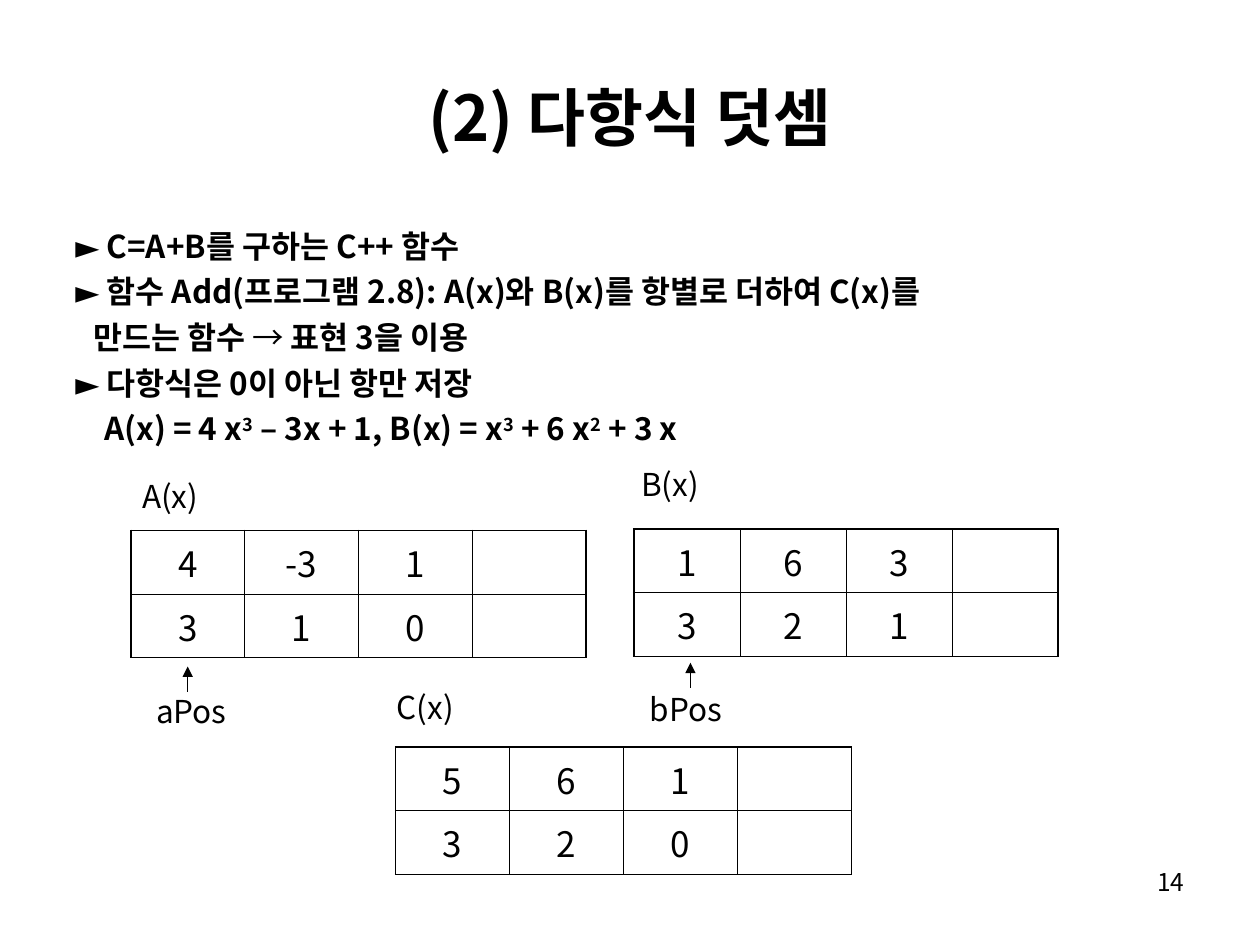
import pptx
import pptx.util
import pptx.dml.color
import pptx.enum.shapes
import pptx.enum.text
import pptx.oxml
import pptx.oxml.ns

Inches, Pt = pptx.util.Inches, pptx.util.Pt
ALIGN = pptx.enum.text.PP_ALIGN
qn = pptx.oxml.ns.qn
BLACK = pptx.dml.color.RGBColor(0, 0, 0)
FONT = "Noto Sans CJK KR"
OUTER, INNER = Pt(1.08), Pt(0.45)

# Each line: left margin, hanging indent, runs of (text, style)
BODY = [
    (0.38, -0.38, [("►", ""), (" C=A+B를 구하는 C++ 함수", "bold")]),
    (0.38, -0.38, [("►", ""), (" 함수 Add(프로그램 2.8): A(x)와 B(x)를 항별로 더하여 C(x)를", "bold")]),
    (0.14, 0, [("만드는 함수 ", "bold"), ("→ ", "arrow"), ("표현 3을 이용", "bold")]),
    (0.38, -0.38, [("►", ""), (" 다항식은 0이 아닌 항만 저장", "bold")]),
    (0.23, 0, [("A(x) = 4 x", "bold"), ("3", "super"), (" – 3x + 1, B(x) = x", "bold"),
               ("3", "super"), (" + 6 x", "bold"), ("2", "super"), (" + 3 x", "bold")]),
]


def add_run(p, text, size, bold=False, font=FONT):
    """Add a run in the given Latin font, with FONT for East Asian text."""
    r = p.add_run()
    r.text = text
    r.font.name, r.font.size, r.font.bold = font, Pt(size), bold
    r.font.color.rgb = BLACK
    ea = pptx.oxml.parse_xml(f'<a:ea {pptx.oxml.ns.nsdecls("a")} typeface="{FONT}"/>')
    r.font._element.find(qn("a:latin")).addnext(ea)
    return r


def add_text(s, x, y, w, h, text, size, align=ALIGN.LEFT):
    tf = s.shapes.add_textbox(Inches(x), Inches(y), Inches(w), Inches(h)).text_frame
    tf.word_wrap = True
    p = tf.paragraphs[0]
    p.alignment = align
    add_run(p, text, size)


def add_title(s, x, y, w, h):
    sp = s.shapes.title
    sp.left, sp.top, sp.width, sp.height = map(Inches, (x, y, w, h))
    tf = sp.text_frame
    tf.vertical_anchor = pptx.enum.text.MSO_ANCHOR.MIDDLE
    p = tf.paragraphs[0]
    p.alignment = ALIGN.CENTER
    add_run(p, "(2) 다항식 덧셈", 36, True)


def add_body(s, x, y, w, h):
    tf = s.shapes.add_textbox(Inches(x), Inches(y), Inches(w), Inches(h)).text_frame
    tf.word_wrap = True
    for i, (margin, indent, runs) in enumerate(BODY):
        p = tf.add_paragraph() if i else tf.paragraphs[0]
        p.alignment = ALIGN.LEFT if i == len(BODY) - 1 else ALIGN.JUSTIFY
        p.space_before = Pt(4.5)
        pPr = p._p.get_or_add_pPr()
        pPr.set("marL", str(Inches(margin)))
        pPr.set("indent", str(Inches(indent)))
        for text, style in runs:
            font = "Arial" if style == "arrow" else FONT
            r = add_run(p, text, 18, style in ("bold", "super"), font)
            if style == "super":
                r.font._element.set("baseline", "30000")


def add_border(cell, side, width):
    cell._tc.get_or_add_tcPr().append(pptx.oxml.parse_xml(
        f'<a:ln{side} {pptx.oxml.ns.nsdecls("a")} w="{width}"><a:solidFill>'
        f'<a:srgbClr val="{BLACK}"/></a:solidFill></a:ln{side}>'))


def add_terms(s, x, y, w, h, rows):
    """Add a table of coefficients over exponents."""
    n_rows, n_cols = len(rows), len(rows[0])
    table = s.shapes.add_table(n_rows, n_cols, Inches(x), Inches(y), Inches(w), Inches(h)).table
    table.first_row = table.horz_banding = False
    for i, row in enumerate(rows):
        for j, text in enumerate(row):
            cell = table.cell(i, j)
            edges = {"L": j == 0, "R": j == n_cols - 1, "T": i == 0, "B": i == n_rows - 1}
            for side, outer in edges.items():
                add_border(cell, side, OUTER if outer else INNER)
            cell.fill.background()
            p = cell.text_frame.paragraphs[0]
            p.alignment = ALIGN.CENTER
            if text:
                add_run(p, text, 20)


def add_pointer(s, x, y, length, name, label_x, label_y):
    """Add an arrow pointing up to (x, y), and its name."""
    line = s.shapes.add_connector(pptx.enum.shapes.MSO_CONNECTOR.STRAIGHT,
                                  Inches(x), Inches(y + length), Inches(x), Inches(y))
    line.line.color.rgb = BLACK
    line.line.width = Pt(0.75)
    ns = pptx.oxml.ns.nsdecls("a")
    line.line._get_or_add_ln().append(pptx.oxml.parse_xml(f'<a:tailEnd {ns} type="triangle"/>'))
    line._element.spPr.append(pptx.oxml.parse_xml(f"<a:effectLst {ns}/>"))
    add_text(s, label_x, label_y, 0.88, 0.4, name, 18)


def main():
    prs = pptx.Presentation()
    prs.slide_width, prs.slide_height = Inches(10), Inches(7.5)
    s = prs.slides.add_slide(prs.slide_layouts[5])
    add_title(s, 0.5, 0.3, 9, 1.25)
    add_body(s, 0.5, 1.75, 8.82, 1.95)
    add_terms(s, 1.04, 4.21, 3.61, 1.01, [["4", "-3", "1", ""], ["3", "1", "0", ""]])
    add_terms(s, 5.03, 4.2, 3.37, 1.01, [["1", "6", "3", ""], ["3", "2", "1", ""]])
    add_terms(s, 3.14, 5.93, 3.62, 1.01, [["5", "6", "1", ""], ["3", "2", "0", ""]])
    for x, y, name in [(1.03, 3.74, "A(x)"), (4.99, 3.64, "B(x)"), (3.05, 5.41, "C(x)")]:
        add_text(s, x, y, 0.9, 0.4, name, 18)
    add_pointer(s, 1.49, 5.29, 0.2, "aPos", 1.14, 5.44)
    add_pointer(s, 5.48, 5.26, 0.2, "bPos", 5.06, 5.43)
    add_text(s, 7.17, 6.83, 2.33, 0.52, "14", 14, ALIGN.RIGHT)
    prs.save("out.pptx")


if __name__ == "__main__":
    main()
